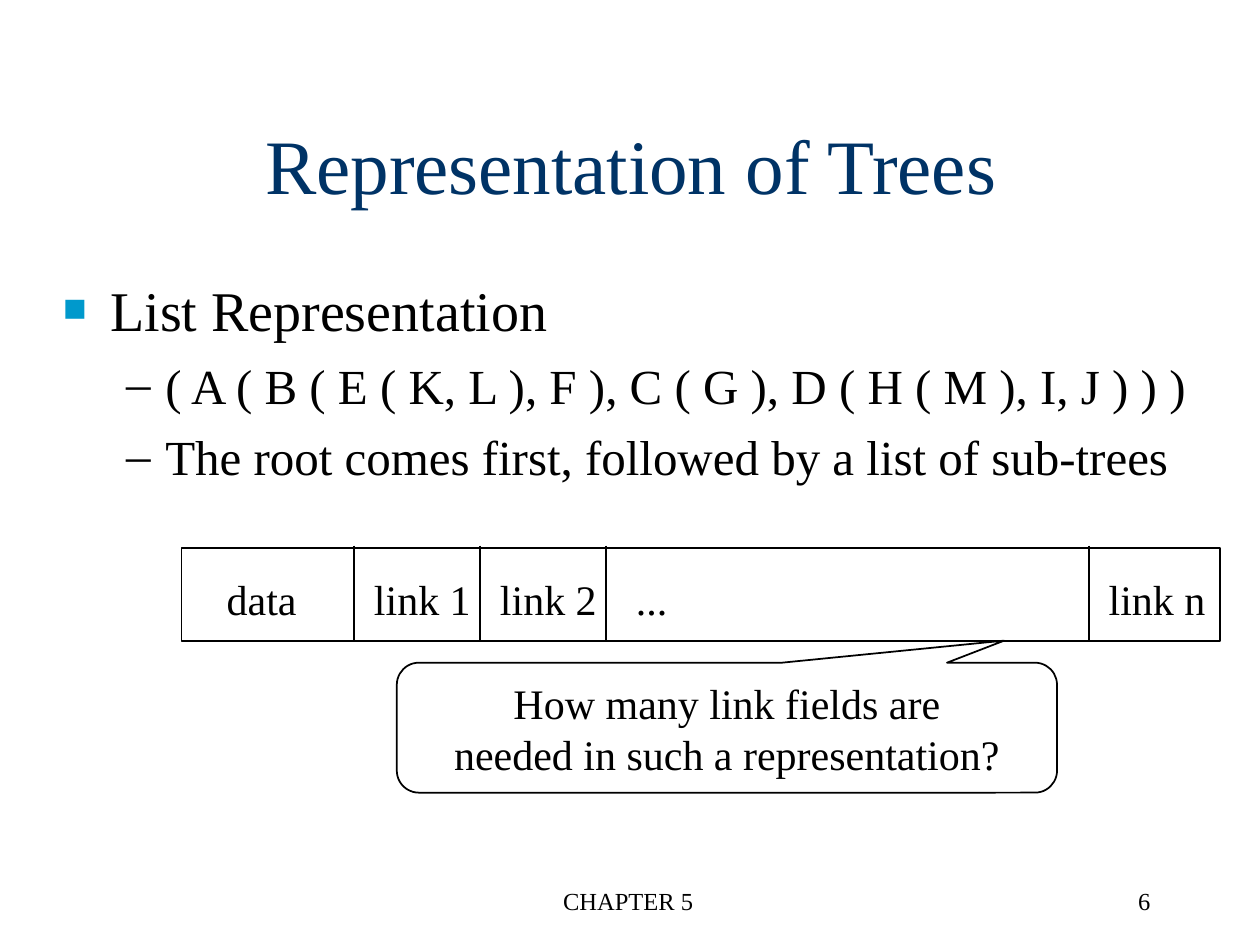
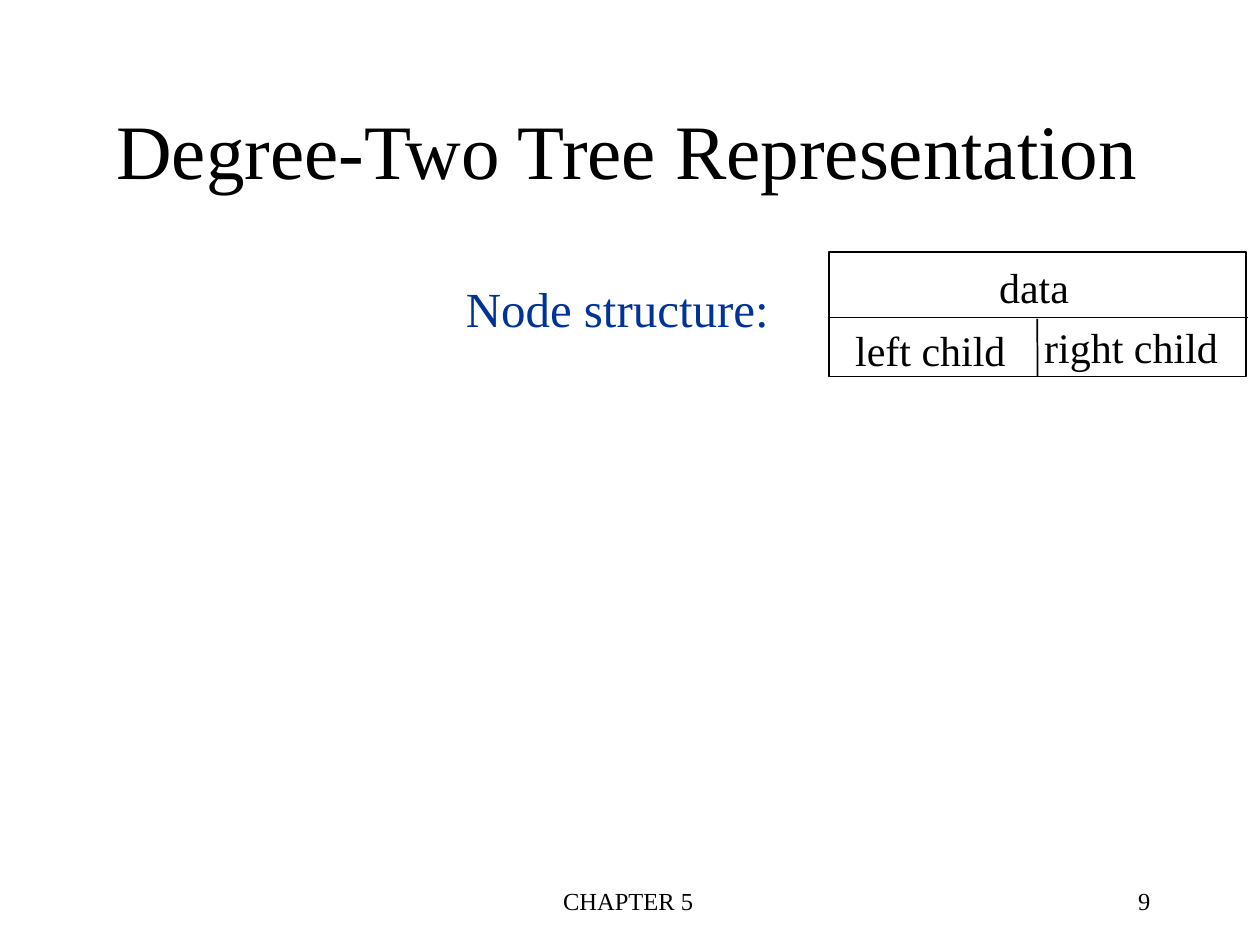
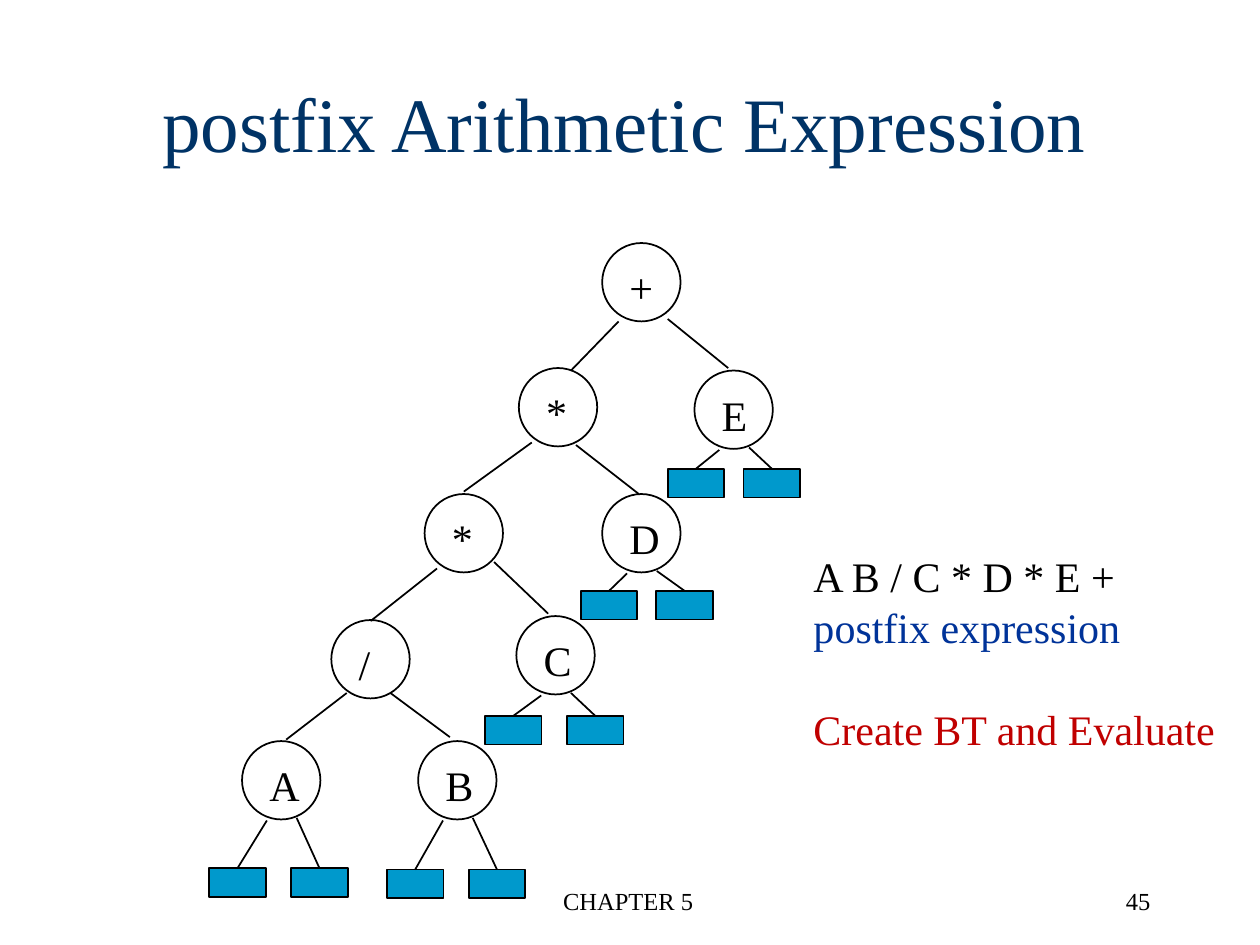
from dataclasses import dataclass
from typing import Optional

from lxml import etree
from pptx import Presentation
from pptx.dml.color import RGBColor
from pptx.enum.shapes import MSO_CONNECTOR, MSO_SHAPE
from pptx.enum.text import MSO_ANCHOR, MSO_AUTO_SIZE, PP_ALIGN
from pptx.oxml.ns import qn
from pptx.util import Cm, Pt

LEFT, CENTER, RIGHT = PP_ALIGN.LEFT, PP_ALIGN.CENTER, PP_ALIGN.RIGHT
TOP, MIDDLE = MSO_ANCHOR.TOP, MSO_ANCHOR.MIDDLE
RECT, OVAL = MSO_SHAPE.RECTANGLE, MSO_SHAPE.OVAL
CALLOUT = MSO_SHAPE.ROUNDED_RECTANGULAR_CALLOUT
STRAIGHT = MSO_CONNECTOR.STRAIGHT
NO_AUTOFIT = MSO_AUTO_SIZE.NONE
TITLE_AND_BODY, TITLE_ONLY = 1, 5
TOP_SIDE, BOTTOM_SIDE = 0, 2


@dataclass(frozen=True)
class Theme:
    font: str = "Times New Roman"
    ink: str = "000000"
    navy: str = "003366"
    blue: str = "003399"
    red: str = "C00000"
    accent: str = "0099CC"
    title_size: int = 44
    list_size: int = 32
    sublist_size: int = 28
    label_size: int = 24
    footer_size: int = 14
    leading: float = 1.21
    line_width: float = 1


THEME = Theme()


@dataclass(frozen=True)
class Box:
    """Place and size in centimetres."""
    left: float
    top: float
    width: float
    height: float

    def lengths(self) -> tuple:
        return Cm(self.left), Cm(self.top), Cm(self.width), Cm(self.height)


@dataclass(frozen=True)
class Bullet:
    char: str
    color: str
    percent: int
    margin: float
    hanging: float


@dataclass(frozen=True)
class Line:
    text: str
    size: int = THEME.label_size
    color: str = THEME.ink
    before: float = 0
    level: int = 0
    bullet: Optional[Bullet] = None


@dataclass(frozen=True)
class Label:
    text: str
    left: float
    top: float
    width: float


@dataclass(frozen=True)
class TreeNode:
    label: str
    left: float
    top: float
    label_width: float


@dataclass(frozen=True)
class LeafPair:
    """The two empty subtrees below an operand."""
    operand: TreeNode
    lefts: tuple
    top: float


# Text
def add_bullet(paragraph, bullet: Bullet) -> None:
    properties = paragraph._p.get_or_add_pPr()
    properties.set("marL", str(Cm(bullet.margin)))
    properties.set("indent", str(-Cm(bullet.hanging)))
    color = etree.SubElement(properties, qn("a:buClr"))
    etree.SubElement(color, qn("a:srgbClr"), val=bullet.color)
    etree.SubElement(properties, qn("a:buSzPct"), val=str(bullet.percent * 1000))
    etree.SubElement(properties, qn("a:buFont"), typeface=THEME.font)
    etree.SubElement(properties, qn("a:buChar"), char=bullet.char)


def write(shape, *lines: Line, align=LEFT, anchor=TOP, wrap: bool = True) -> None:
    frame = shape.text_frame
    frame.word_wrap = wrap
    frame.auto_size = NO_AUTOFIT
    frame.vertical_anchor = anchor
    for index, line in enumerate(lines):
        paragraph = frame.paragraphs[0] if index == 0 else frame.add_paragraph()
        if line.bullet:
            add_bullet(paragraph, line.bullet)
        paragraph.level = line.level
        paragraph.alignment = align
        paragraph.line_spacing = Pt(line.size * THEME.leading)
        paragraph.space_before = Pt(line.before)
        run = paragraph.add_run()
        run.text = line.text
        run.font.name = THEME.font
        run.font.size = Pt(line.size)
        run.font.color.rgb = RGBColor.from_string(line.color)


def add_text(slide, box: Box, *lines: Line, align=LEFT, wrap: bool = False) -> None:
    write(slide.shapes.add_textbox(*box.lengths()), *lines, align=align, wrap=wrap)


def add_label(slide, label: Label) -> None:
    add_text(slide, Box(label.left, label.top, label.width, 1.27), Line(label.text))


def fill_placeholder(placeholder, box: Box, *lines: Line, align=LEFT, anchor=TOP) -> None:
    (placeholder.left, placeholder.top,
     placeholder.width, placeholder.height) = box.lengths()
    write(placeholder, *lines, align=align, anchor=anchor)


# Outlines and lines
def draw_outline(item) -> None:
    item.line.color.rgb = RGBColor.from_string(THEME.ink)
    item.line.width = Pt(THEME.line_width)


def add_figure(slide, kind, box: Box, fill: Optional[str] = None):
    figure = slide.shapes.add_shape(kind, *box.lengths())
    figure.shadow.inherit = False
    if fill:
        figure.fill.solid()
        figure.fill.fore_color.rgb = RGBColor.from_string(fill)
    else:
        figure.fill.background()
    draw_outline(figure)
    return figure


def add_line(slide, x1: float, y1: float, x2: float, y2: float):
    line = slide.shapes.add_connector(STRAIGHT, Cm(x1), Cm(y1), Cm(x2), Cm(y2))
    draw_outline(line)
    etree.SubElement(line._element.spPr, qn("a:effectLst"))
    return line


# Frame shared by all slides
def add_slide(prs, layout: int, title: str, left: float, top: float,
              color: str, number: int):
    slide = prs.slides.add_slide(prs.slide_layouts[layout])
    fill_placeholder(slide.shapes.title, Box(left, top, 25.45, 3.18),
                     Line(title, THEME.title_size, color), align=CENTER, anchor=MIDDLE)
    add_text(slide, Box(8.64, 17.73, 8.05, 1.27),
             Line("CHAPTER 5", THEME.footer_size), align=CENTER, wrap=True)
    add_text(slide, Box(18.16, 17.73, 5.28, 1.27),
             Line(str(number), THEME.footer_size), align=RIGHT, wrap=True)
    return slide


def build_list_representation(prs) -> None:
    slide = add_slide(prs, TITLE_AND_BODY, "Representation of Trees",
                      0, 1.7, THEME.navy, 6)
    square = Bullet("■", THEME.accent, 70, 0.95, 0.95)
    dash = Bullet("–", THEME.ink, 100, 2.06, 0.79)
    details = ("( A ( B ( E ( K, L ), F ), C ( G ), D ( H ( M ), I, J ) ) )",
               "The root comes first, followed by a list of sub-trees")
    fill_placeholder(
        slide.placeholders[1], Box(1.02, 5.41, 25.45, 11.43),
        Line("List Representation", THEME.list_size, bullet=square),
        *(Line(text, THEME.sublist_size, before=7, level=1, bullet=dash)
          for text in details))

    # Node record with its link fields
    add_figure(slide, RECT, Box(3.66, 11.05, 20.93, 1.88))
    for divider in (7.14, 9.68, 12.22, 21.95):
        add_line(slide, divider, 11, divider, 12.9)
    for field in (Label("data", 4.32, 11.43, 1.93),
                  Label("link 1", 7.29, 11.43, 2.46),
                  Label("link 2", 9.83, 11.43, 2.46),
                  Label("...", 12.57, 11.43, 1.14),
                  Label("link n", 22.1, 11.43, 2.46)):
        add_label(slide, field)

    question = add_figure(slide, CALLOUT, Box(8, 13.36, 13.31, 2.62))
    question.adjustments[0] = 0.42
    question.adjustments[1] = -0.67
    question.adjustments[2] = 0.17
    write(question, Line("How many link fields are"),
          Line("needed in such a representation?"),
          align=CENTER, anchor=MIDDLE, wrap=False)


def build_degree_two(prs) -> None:
    slide = add_slide(prs, TITLE_ONLY, "Degree-Two Tree Representation",
                      -0.08, 1.4, THEME.ink, 9)
    node = add_figure(slide, RECT, Box(16.71, 5.08, 8.41, 2.51))
    add_line(slide, 16.69, 6.4, 25.15, 6.4)
    child_divider = add_line(slide, 20.91, 6.43, 20.91, 7.59)
    child_divider.end_connect(node, BOTTOM_SIDE)
    for field in (Label("data", 19.89, 5.13, 1.93),
                  Label("left child", 16.99, 6.4, 3.56),
                  Label("right child", 20.8, 6.35, 4.01)):
        add_label(slide, field)
    add_text(slide, Box(9.14, 5.49, 6.6, 1.45),
             Line("Node structure:", THEME.sublist_size, THEME.blue))


def add_tree_node(slide, node: TreeNode) -> None:
    add_figure(slide, OVAL, Box(node.left, node.top, 1.58, 1.58))
    add_label(slide, Label(node.label, node.left + 0.3, node.top + 0.24,
                           node.label_width))


def add_leaves(slide, pair: LeafPair) -> None:
    starts = ((0.5, 1.6), (1.1, 1.55))
    for left, (dx, dy) in zip(pair.lefts, starts):
        leaf = add_figure(slide, RECT, Box(left, pair.top, 1.14, 0.58), THEME.accent)
        branch = add_line(slide, pair.operand.left + dx, pair.operand.top + dy,
                          left + 0.57, pair.top)
        branch.end_connect(leaf, TOP_SIDE)


def build_postfix(prs) -> None:
    slide = add_slide(prs, TITLE_ONLY, "postfix Arithmetic Expression",
                      -0.13, 0.86, THEME.navy, 45)

    # Operators and operands
    operators = (TreeNode("+", 12.14, 4.9, 0.99), TreeNode("*", 10.46, 7.42, 0.94),
                 TreeNode("*", 8.56, 9.96, 0.94), TreeNode("/", 6.68, 12.5, 0.74))
    leaf_pairs = (
        LeafPair(TreeNode("A", 4.88, 14.94, 1.12), (4.22, 5.87), 17.5),
        LeafPair(TreeNode("B", 8.43, 14.94, 1.07), (7.8, 9.45), 17.53),
        LeafPair(TreeNode("C", 10.41, 12.42, 1.07), (9.78, 11.43), 14.43),
        LeafPair(TreeNode("D", 12.14, 9.96, 1.12), (11.71, 13.23), 11.91),
        LeafPair(TreeNode("E", 14, 7.47, 1.04), (13.46, 14.99), 9.45),
    )
    for operator in operators:
        add_tree_node(slide, operator)
    for pair in leaf_pairs:
        add_tree_node(slide, pair.operand)
        add_leaves(slide, pair)

    # Left and right branch of each operator, from the root down
    for branch in ((12.47, 6.48, 11.51, 7.47), (13.46, 6.43, 14.68, 7.42),
                   (10.72, 8.92, 9.35, 9.91), (11.61, 8.97, 12.88, 9.96),
                   (8.81, 11.46, 7.47, 12.52), (9.96, 11.33, 11.05, 12.37),
                   (6.99, 13.97, 5.77, 14.91), (7.87, 13.97, 9.07, 14.86)):
        add_line(slide, *branch)

    add_text(slide, Box(16.15, 10.97, 8.64, 4.3),
             Line("A B / C * D * E +"),
             Line("postfix expression", color=THEME.blue),
             Line("Create BT and Evaluate", color=THEME.red, before=29))


def main() -> None:
    prs = Presentation()
    prs.slide_width, prs.slide_height = Cm(25.4), Cm(19.05)
    build_list_representation(prs)
    build_degree_two(prs)
    build_postfix(prs)
    prs.save("out.pptx")


if __name__ == "__main__":
    main()
